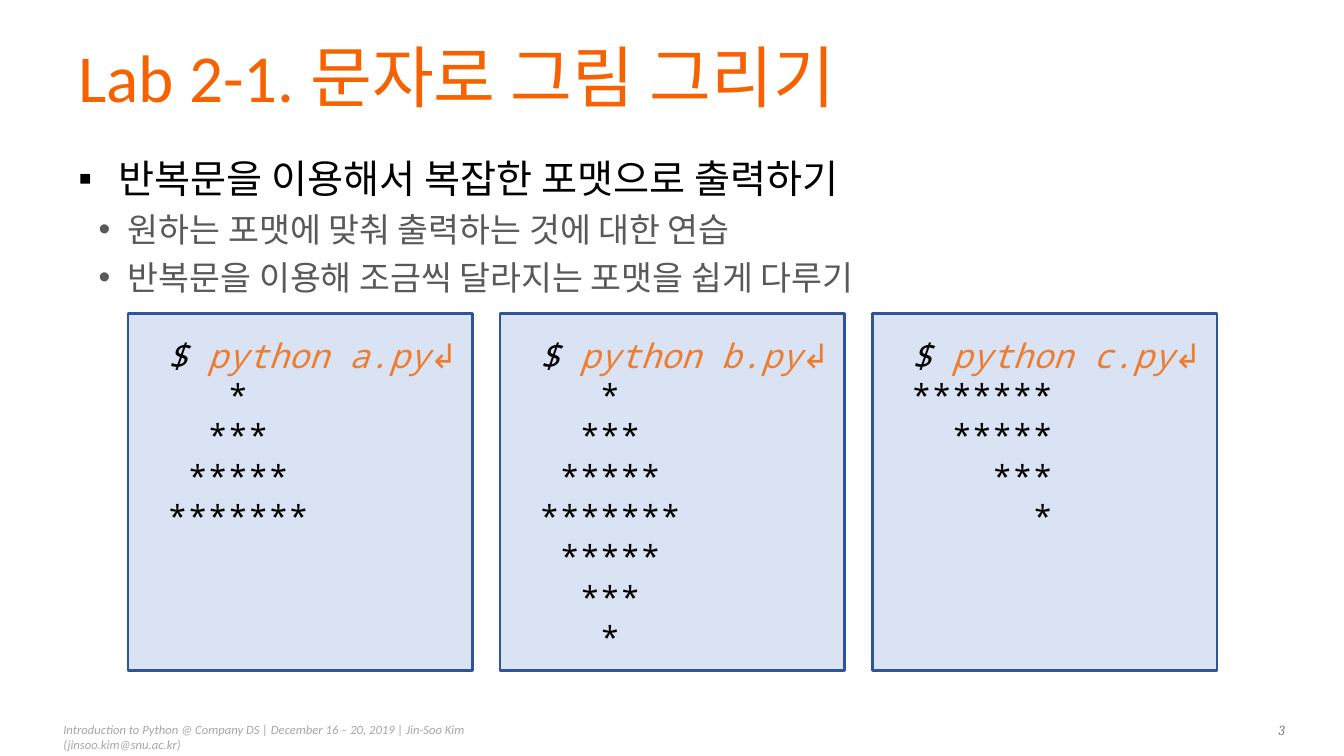
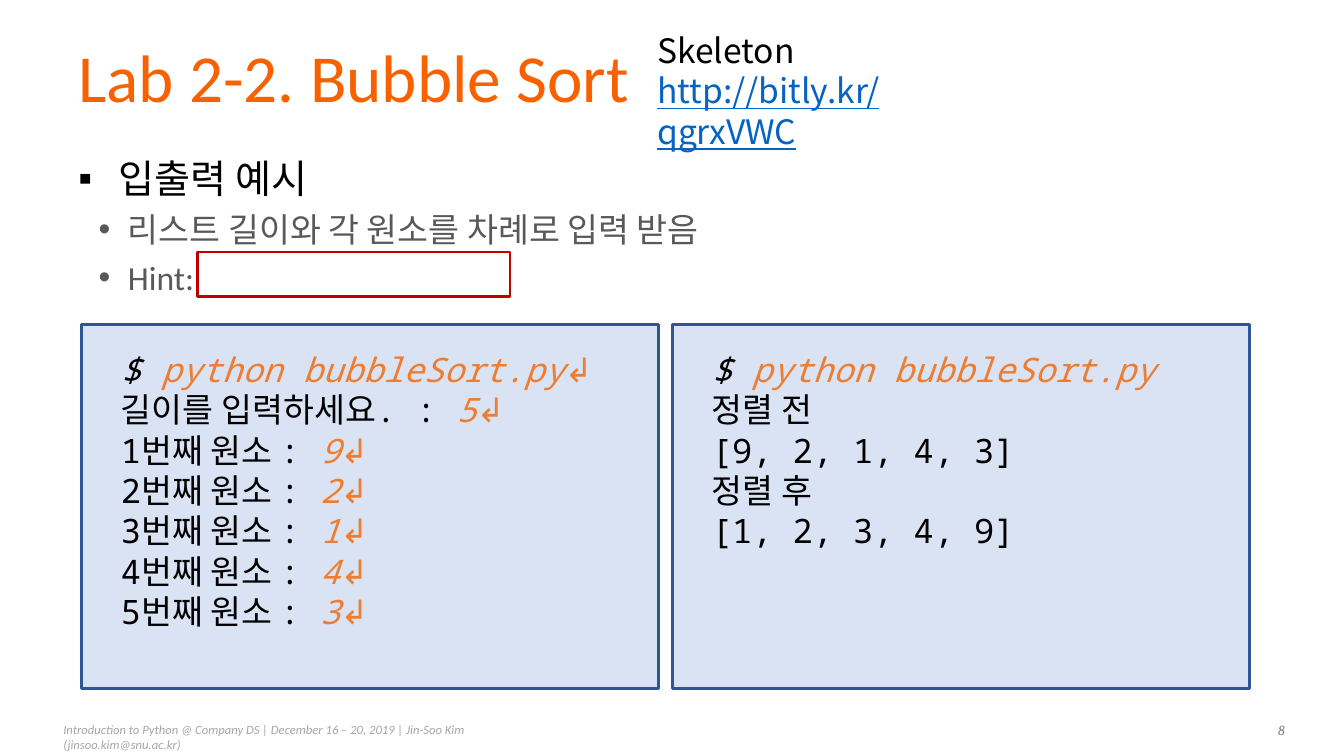
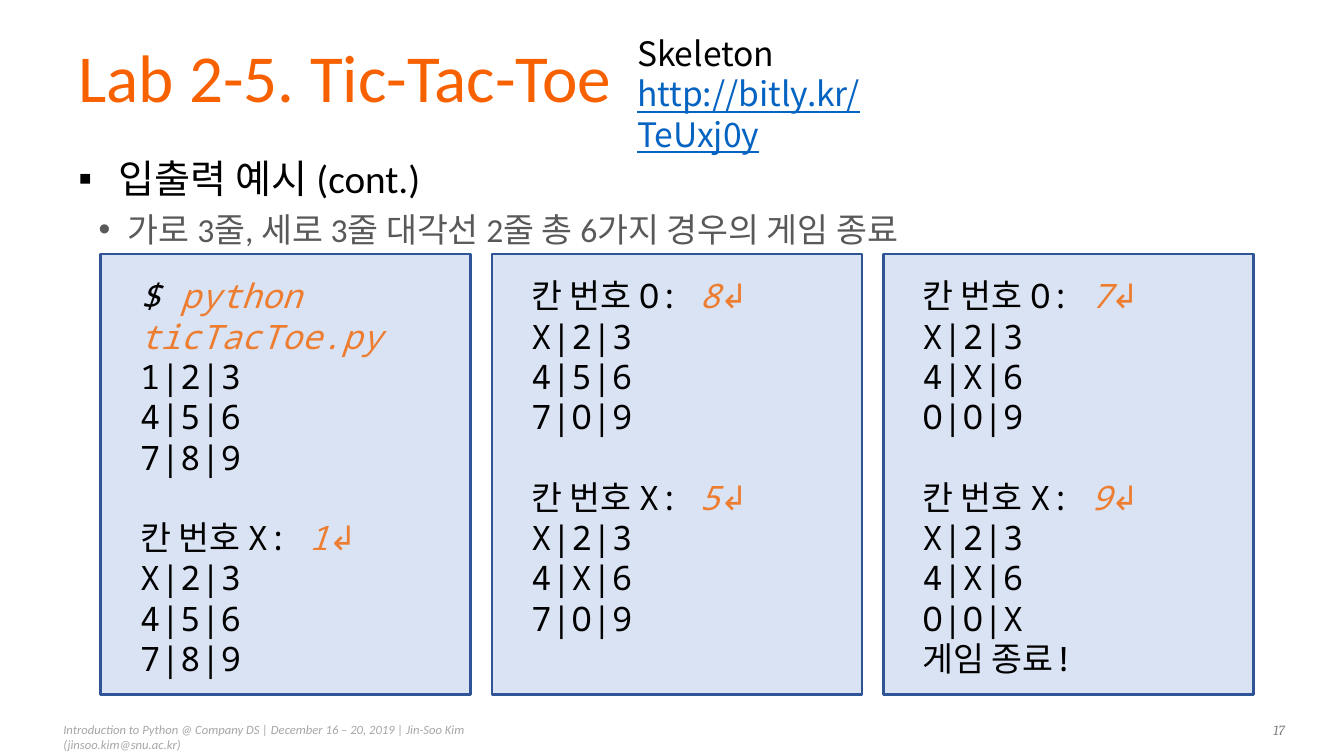
from dataclasses import dataclass

from lxml.etree import SubElement
from pptx import Presentation
from pptx.dml.color import RGBColor
from pptx.enum.shapes import MSO_SHAPE as Shape
from pptx.enum.text import MSO_ANCHOR as Anchor, PP_ALIGN as Align
from pptx.oxml.ns import qn
from pptx.util import Inches, Pt


@dataclass(frozen=True)
class Theme:
    title: str = "F76100"
    ink: str = "000000"
    detail: str = "595959"
    typed: str = "ED7D31"
    link: str = "0563C1"
    footer: str = "A6A6A6"
    number: str = "808080"
    panel: str = "DAE3F3"
    panel_edge: str = "2F5597"
    cover: str = "FFFFFF"
    cover_edge: str = "C00000"
    sans: str = "Calibri"
    serif: str = "Cambria"
    mono: str = "Noto Sans Mono"
    korean: str = "Noto Sans CJK KR"
    title_size: int = 48
    topic_size: int = 28
    text_size: int = 24
    number_size: int = 10
    footer_size: int = 9
    line_pitch: float = 28.8


THEME = Theme()
FOOTER = ("Introduction to Python @ Company DS | December 16 – 20, 2019 | "
          "Jin-Soo Kim (jinsoo.kim@snu.ac.kr)")

# bullet, size, colour, left indent, hanging indent, line pitch
TOPIC = ("▪", THEME.topic_size, THEME.ink, 0.4, 0.4, 34)
DETAIL = ("•", THEME.text_size, THEME.detail, 0.49, 0.29, 29)

# A console line is (printed text, typed text); an empty tuple is a blank line.
SLIDES = [
    {
        "number": 3,
        "title": "Lab 2-1. 문자로 그림 그리기",
        "topic": "반복문을 이용해서 복잡한 포맷으로 출력하기",
        "details": ["원하는 포맷에 맞춰 출력하는 것에 대한 연습",
                    "반복문을 이용해 조금씩 달라지는 포맷을 쉽게 다루기"],
        "grid": {"left": 1.27, "top": 3.11, "width": 3.42, "height": 3.54,
                 "gap": 0.27, "inset": 0.21},
        "consoles": [
            [("$", " python a.py↲"), ("   *",), ("  ***",), (" *****",),
             ("*******",)],
            [("$", " python b.py↲"), ("   *",), ("  ***",), (" *****",),
             ("*******",), (" *****",), ("  ***",), ("   *",)],
            [("$", " python c.py↲"), ("*******",), ("  *****",),
             ("    ***",), ("      *",)],
        ],
    },
    {
        "number": 8,
        "title": "Lab 2-2. Bubble Sort",
        "topic": "입출력 예시",
        "details": ["리스트 길이와 각 원소를 차례로 입력 받음", "Hint:"],
        "cover": (1.96, 2.5, 3.1, 0.44),
        "skeleton": (6.42, 0.24, "http://bitly.kr/qgrxVWC"),
        "grid": {"left": 0.81, "top": 3.22, "width": 5.72, "height": 3.61,
                 "gap": 0.14, "inset": 0.24},
        "consoles": [
            [("$", " python bubbleSort.py↲"), ("길이를 입력하세요. : ", "5↲"),
             ("1번째 원소 : ", "9↲"), ("2번째 원소 : ", "2↲"),
             ("3번째 원소 : ", "1↲"), ("4번째 원소 : ", "4↲"),
             ("5번째 원소 : ", "3↲")],
            [("$", " python bubbleSort.py"), ("정렬 전",),
             ("[9, 2, 1, 4, 3]",), ("정렬 후",), ("[1, 2, 3, 4, 9]",)],
        ],
    },
    {
        "number": 17,
        "title": "Lab 2-5. Tic-Tac-Toe",
        "topic": "입출력 예시 (cont.)",
        "details": ["가로 3줄, 세로 3줄 대각선 2줄 총 6가지 경우의 게임 종료"],
        "skeleton": (6.22, 0.27, "http://bitly.kr/TeUxj0y"),
        "grid": {"left": 1, "top": 2.52, "width": 3.67, "height": 4.37,
                 "gap": 0.21, "inset": 0.21},
        "consoles": [
            [("$", " python ticTacToe.py"), ("1|2|3",), ("4|5|6",),
             ("7|8|9",), (), ("칸 번호 X: ", "1↲"), ("X|2|3",), ("4|5|6",),
             ("7|8|9",)],
            [("칸 번호 O:", " 8↲"), ("X|2|3",), ("4|5|6",), ("7|O|9",), (),
             ("칸 번호 X:", " 5↲"), ("X|2|3",), ("4|X|6",), ("7|O|9",)],
            [("칸 번호 O: ", "7↲"), ("X|2|3",), ("4|X|6",), ("O|O|9",), (),
             ("칸 번호 X:", " 9↲"), ("X|2|3",), ("4|X|6",), ("O|O|X",),
             ("게임 종료!",)],
        ],
    },
]


def add_span(para, text, size, color, face=THEME.sans, italic=False,
             underline=False):
    span = para.add_run()
    span.text = text
    font = span.font
    font.size, font.name = Pt(size), face
    font.italic, font.underline = italic, underline
    font.color.rgb = RGBColor.from_string(color)
    SubElement(font._element, qn("a:ea"), typeface=THEME.korean)


def add_para(frame, pitch=None, before=0):
    """Return the frame's unused first paragraph, or a new one."""
    first = frame.paragraphs[0]
    para = frame.add_paragraph() if first.runs else first
    para.alignment = Align.LEFT
    if pitch:
        para.line_spacing = Pt(pitch)
    if before:
        para.space_before = Pt(before)
    return para


def add_text_box(page, *place):
    frame = page.shapes.add_textbox(*map(Inches, place)).text_frame
    frame.word_wrap = True
    return frame


def add_panel(page, place, fill, edge):
    box = page.shapes.add_shape(Shape.RECTANGLE, *map(Inches, place))
    box.shadow.inherit = False
    box.fill.solid()
    box.fill.fore_color.rgb = RGBColor.from_string(fill)
    box.line.color.rgb = RGBColor.from_string(edge)
    box.line.width = Pt(2)
    return box


def add_bullet(frame, text, style, before=0):
    bullet, size, color, left, hang, pitch = style
    para = add_para(frame, pitch, before)
    props = para._p.get_or_add_pPr()
    props.set("marL", str(Inches(left)))
    props.set("indent", str(-Inches(hang)))
    SubElement(props, qn("a:buFont"), typeface="Arial")
    SubElement(props, qn("a:buChar"), char=bullet)
    add_span(para, text, size, color)


def add_frame_parts(page, title, number):
    """Add the title, footer and page number that every slide carries."""
    footer = add_text_box(page, 0.53, 7.11, 5.2, 0.25)
    add_span(add_para(footer), FOOTER, THEME.footer_size, THEME.footer,
             italic=True)
    para = add_para(add_text_box(page, 12.09, 7.11, 0.75, 0.27))
    para.alignment = Align.RIGHT
    add_span(para, str(number), THEME.number_size, THEME.number, THEME.serif,
             italic=True)
    heading = add_text_box(page, 0.68, 0.37, 11.98, 0.83)
    heading.vertical_anchor = Anchor.MIDDLE
    add_span(add_para(heading, 52), title, THEME.title_size, THEME.title)


def add_console(page, place, inset, lines):
    frame = add_panel(page, place, THEME.panel, THEME.panel_edge).text_frame
    frame.word_wrap = True
    frame.vertical_anchor = Anchor.TOP
    frame.margin_left, frame.margin_top = Inches(0.39), Inches(inset)
    before = 0
    for line in lines:
        if not line:
            before = THEME.line_pitch
            continue
        para = add_para(frame, THEME.line_pitch, before)
        before = 0
        for text, color in zip(line, (THEME.ink, THEME.typed)):
            add_span(para, text, THEME.text_size, color, THEME.mono,
                     italic=color == THEME.typed or text == "$")


def add_skeleton(page, left, top, address):
    frame = add_text_box(page, left, top, 3, 1.3)
    for text, color in (("Skeleton", THEME.ink), (address, THEME.link)):
        add_span(add_para(frame, 29), text, THEME.text_size, color,
                 THEME.korean, underline=color == THEME.link)


def build_slide(deck, content):
    page = deck.slides.add_slide(deck.slide_layouts[6])
    add_frame_parts(page, content["title"], content["number"])
    body = add_text_box(page, 0.68, 1.48, 11.98, 1.6)
    add_bullet(body, content["topic"], TOPIC)
    for detail in content["details"]:
        add_bullet(body, detail, DETAIL, before=5)
    grid = content["grid"]
    for column, lines in enumerate(content["consoles"]):
        left = grid["left"] + column * (grid["width"] + grid["gap"])
        place = left, grid["top"], grid["width"], grid["height"]
        add_console(page, place, grid["inset"], lines)
    if "cover" in content:
        add_panel(page, content["cover"], THEME.cover, THEME.cover_edge)
    if "skeleton" in content:
        add_skeleton(page, *content["skeleton"])


def main():
    deck = Presentation()
    deck.slide_width, deck.slide_height = Inches(13.33), Inches(7.5)
    for content in SLIDES:
        build_slide(deck, content)
    deck.save("out.pptx")


if __name__ == "__main__":
    main()
